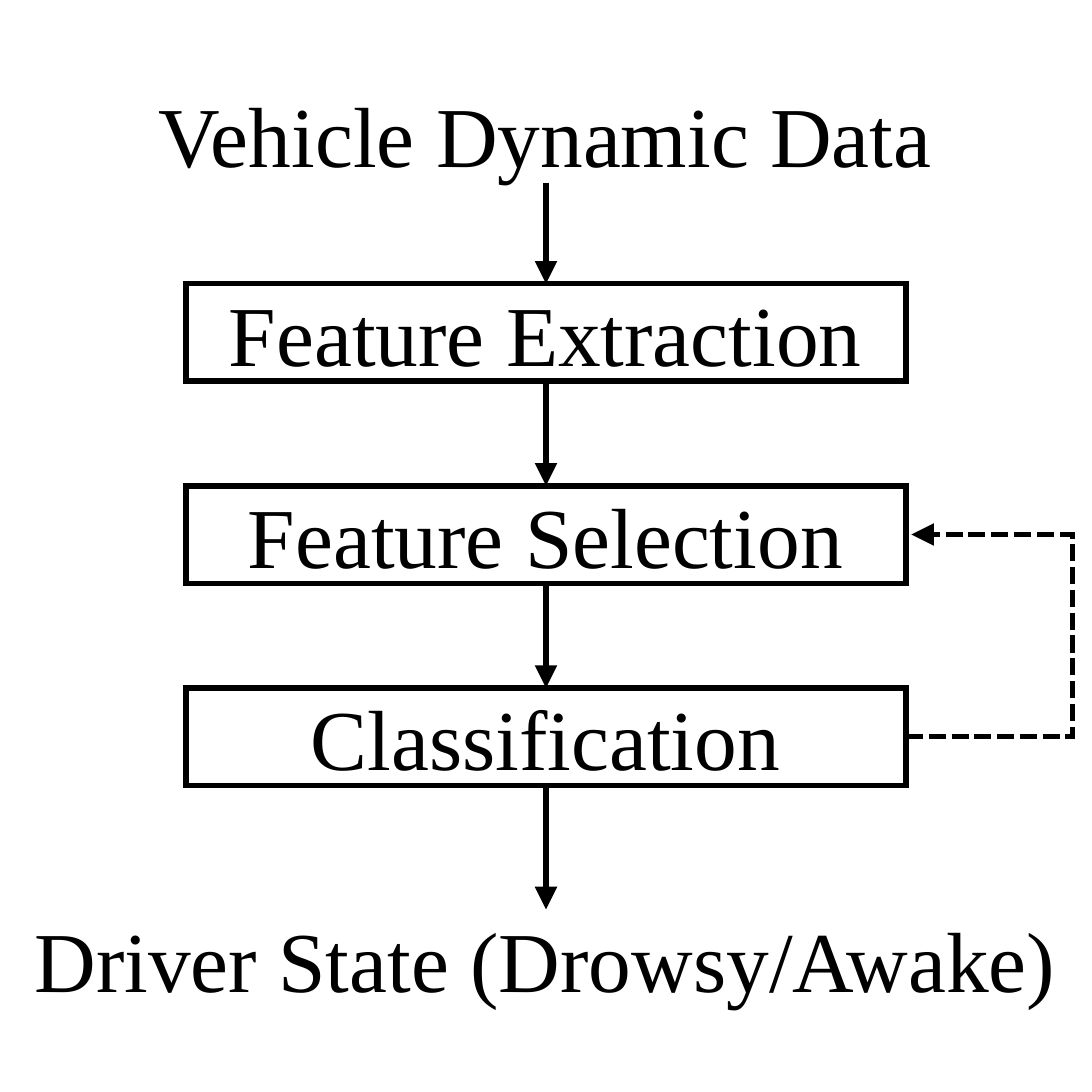
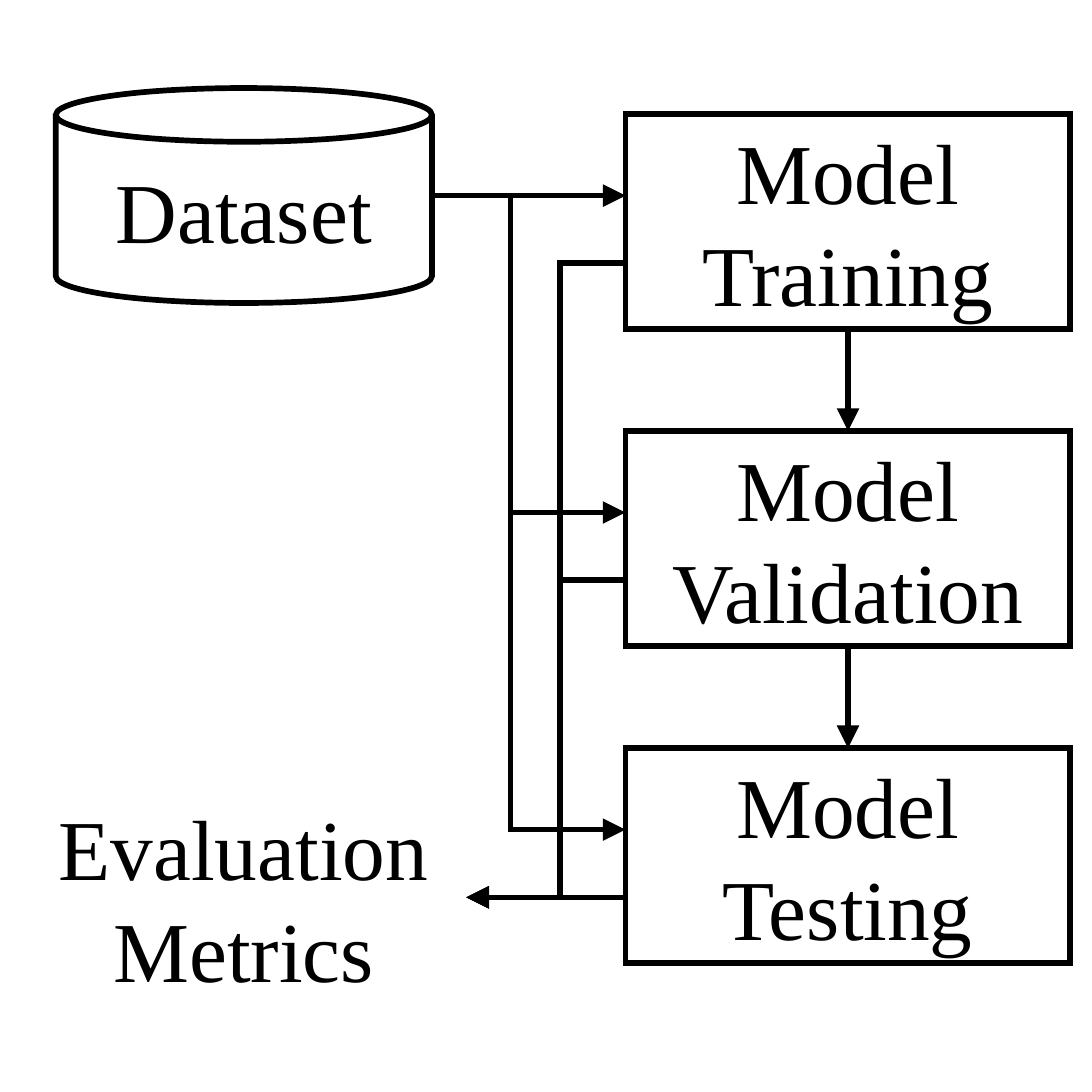
from lxml import etree
from pptx import Presentation
from pptx.dml.color import RGBColor
from pptx.enum.dml import MSO_LINE
from pptx.enum.shapes import MSO_CONNECTOR, MSO_SHAPE
from pptx.enum.text import MSO_ANCHOR, PP_ALIGN
from pptx.oxml.ns import qn
from pptx.util import Cm, Pt

# Shared style
BLACK = RGBColor(0x00, 0x00, 0x00)
WHITE = RGBColor(0xFF, 0xFF, 0xFF)
FONT = "Times New Roman"
FONT_SIZE = Pt(22.5)
LINE_WIDTH = Pt(1.5)

RECTANGLE = MSO_SHAPE.RECTANGLE
CAN = MSO_SHAPE.CAN
STRAIGHT = MSO_CONNECTOR.STRAIGHT
ELBOW = MSO_CONNECTOR.ELBOW
SHORT_DASH = MSO_LINE.SQUARE_DOT
CENTER = PP_ALIGN.CENTER
MIDDLE = MSO_ANCHOR.MIDDLE

# Connection sites of a rectangle
TOP_SITE, BOTTOM_SITE = 0, 2

SLIDE_SIZE = 10.16


def set_text(shape, text):
    """Fill a shape with centred text in the shared font."""
    frame = shape.text_frame
    frame.word_wrap = True
    frame.vertical_anchor = MIDDLE
    frame.margin_left = frame.margin_right = 0
    frame.margin_top = frame.margin_bottom = 0
    frame.text = text
    for paragraph in frame.paragraphs:
        paragraph.alignment = CENTER
        for run in paragraph.runs:
            run.font.name = FONT
            run.font.size = FONT_SIZE
            run.font.color.rgb = BLACK


def style_line(line, dash=None):
    """Give a line the shared colour and width, with sharp corners."""
    line.color.rgb = BLACK
    line.width = LINE_WIDTH
    if dash:
        line.dash_style = dash
    miter = etree.SubElement(line._get_or_add_ln(), qn("a:miter"))
    miter.set("lim", "800000")


def add_box(slide, text, left, top, width, height, kind=RECTANGLE):
    shape = slide.shapes.add_shape(kind, Cm(left), Cm(top), Cm(width), Cm(height))
    shape.shadow.inherit = False
    shape.fill.solid()
    shape.fill.fore_color.rgb = WHITE
    style_line(shape.line)
    set_text(shape, text)
    return shape


def add_label(slide, text, left, top, width, height):
    label = slide.shapes.add_textbox(Cm(left), Cm(top), Cm(width), Cm(height))
    set_text(label, text)
    return label


def add_arrow(slide, start, end, via=None, dash=None):
    """Draw an arrow; via is the x position of an elbow's upright part."""
    kind = STRAIGHT if via is None else ELBOW
    points = [Cm(value) for value in (*start, *end)]
    arrow = slide.shapes.add_connector(kind, *points)
    style_line(arrow.line, dash)
    head = etree.SubElement(arrow.line._get_or_add_ln(), qn("a:tailEnd"))
    head.set("type", "triangle")
    properties = arrow._element.spPr
    etree.SubElement(properties, qn("a:effectLst"))
    if via is not None:
        bend = round((via - start[0]) / (end[0] - start[0]) * 100000)
        guides = properties.find(qn("a:prstGeom")).get_or_add_avLst()
        guide = etree.SubElement(guides, qn("a:gd"))
        guide.set("name", "adj1")
        guide.set("fmla", f"val {bend}")
    return arrow


def join_downwards(slide, shapes):
    """Link each shape to the next one below it."""
    for upper, lower in zip(shapes, shapes[1:]):
        arrow = add_arrow(slide, (0, 0), (1, 1))
        arrow.begin_connect(upper, BOTTOM_SITE)
        arrow.end_connect(lower, TOP_SITE)


def build_pipeline(slide):
    left, width, height = 1.73, 6.7, 0.91
    first_top, pitch = 2.64, 1.88
    names = ["Feature Extraction", "Feature Selection", "Classification"]
    tops = [first_top + index * pitch for index in range(len(names))]

    # Input, processing steps and output
    steps = [add_box(slide, name, left, top, width, height)
             for name, top in zip(names, tops)]
    data = add_label(slide, "Vehicle Dynamic Data", 0, 0.79, SLIDE_SIZE, height)
    state = add_label(slide, "Driver State (Drowsy/Awake)", 0, 8.46, SLIDE_SIZE, height)
    join_downwards(slide, [data, *steps, state])

    # Feedback from classification to selection
    right = left + width
    selection_y, classification_y = (top + height / 2 for top in tops[1:])
    add_arrow(slide, (right, classification_y), (right + 0.05, selection_y),
              via=9.98, dash=SHORT_DASH)


def build_evaluation(slide):
    left, width, height = 5.82, 4.14, 2.0
    first_top, pitch = 1.06, 2.95
    names = ["Model Training", "Model Validation", "Model Testing"]
    tops = [first_top + index * pitch for index in range(len(names))]
    dataset_left, dataset_top, dataset_width = 0.52, 0.82, 3.5
    metrics_left = 0.2

    # Dataset, model stages and metrics
    add_box(slide, "Dataset", dataset_left, dataset_top, dataset_width, height, CAN)
    stages = [add_box(slide, name, left, top, width, height)
              for name, top in zip(names, tops)]
    add_label(slide, "Evaluation\nMetrics", metrics_left, 7.35, width, height)
    join_downwards(slide, stages)

    # Data flows into each stage, and results flow out to the metrics
    data_offset, result_offset = 0.76, 1.39
    source = (dataset_left + dataset_width, tops[0] + data_offset)
    target = (metrics_left + width, tops[-1] + result_offset)
    for top in tops:
        data_end = (left, top + data_offset)
        result_start = (left, top + result_offset)
        add_arrow(slide, source, data_end, None if top == tops[0] else 4.75)
        add_arrow(slide, result_start, target, None if top == tops[-1] else 5.21)


def main():
    presentation = Presentation()
    presentation.slide_width = presentation.slide_height = Cm(SLIDE_SIZE)
    blank_layout = presentation.slide_layouts[6]
    for build in (build_pipeline, build_evaluation):
        build(presentation.slides.add_slide(blank_layout))
    presentation.save("out.pptx")


if __name__ == "__main__":
    main()
